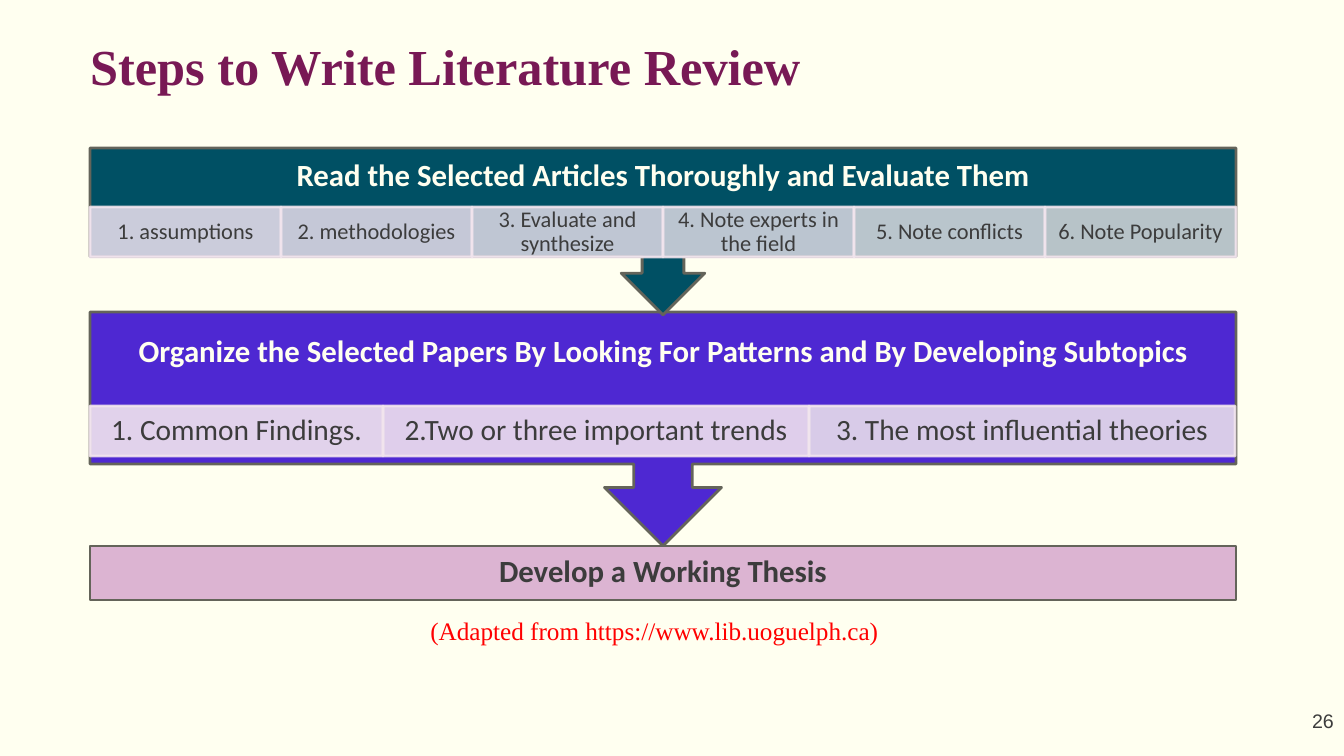
from pptx import Presentation
from pptx.dml.color import RGBColor
from pptx.enum.shapes import MSO_SHAPE as Shape
from pptx.enum.text import MSO_ANCHOR as Anchor, PP_ALIGN as Align
from pptx.oxml.ns import qn
from pptx.util import Pt
from lxml.etree import SubElement

# Content: stages run from the bottom of the slide to the top
TITLE = "Steps to Write Literature Review"
SOURCE = "(Adapted from https://www.lib.uoguelph.ca)"
PAGE_NUMBER = "26"
THESIS = "Develop a Working Thesis"
STAGES = [
    {"heading": "Organize the Selected Papers By Looking For Patterns and By Developing Subtopics",
     "fill": "4E28D2", "top": 312, "height": 234, "heading_height": 82,
     "step_top": 406, "step_size": 21, "step_inset": 16,
     "steps": [("1. Common Findings.", "F2E5EE", 293),
               ("2.Two or three important trends", "EFE1EE", 426),
               ("3. The most inﬂuential theories", "E8DDEB", 426)]},
    {"heading": "Read the Selected Articles Thoroughly and Evaluate Them",
     "fill": "005064", "top": 148, "height": 167, "heading_height": 58,
     "step_top": 207, "step_size": 16, "step_inset": 12,
     "steps": [("1. assumptions", "E2DAE8", 191),
               ("2. methodologies", "DBD6E4", 191),
               ("3. Evaluate and synthesize", "D4D3E0", 191),
               ("4. Note experts in the ﬁeld", "D0D2DC", 191),
               ("5. Note conﬂicts", "CED2D8", 191),
               ("6. Note Popularity", "CBD0D3", 191)]},
]

# Layout in px
LEFT, WIDTH, STEP_HEIGHT = 90, 1146, 50
BODY_SHARE = 0.65  # part of a callout above its arrow
IVORY, DARK, EDGE, STEP_EDGE = "FFFFF0", "3C3C3C", "64645A", "F2E5EE"
HEADING = {"name": "Calibri", "size": Pt(22), "bold": True}


def px(length):
    return round(length * 914400 / 100.8)


def colour(value):
    return RGBColor.from_string(value)


def write(box, text, font, ink, align=Align.CENTER, anchor=Anchor.MIDDLE,
          insets=(10, 5, 10, 5), spacing=1.0):
    frame = box.text_frame
    frame.word_wrap = True
    frame.vertical_anchor = anchor
    for side, inset in zip(("left", "top", "right", "bottom"), insets):
        setattr(frame, f"margin_{side}", px(inset))
    para = frame.paragraphs[0]
    para.alignment = align
    para.line_spacing = spacing
    span = para.add_run()
    span.text = text
    for name, value in font.items():
        setattr(span.font, name, value)
    span.font.color.rgb = colour(ink)


def add_box(kind, area, fill, edge, opacity=100):
    box = page.shapes.add_shape(kind, *map(px, area))
    box.shadow.inherit = False
    box.fill.solid()
    box.fill.fore_color.rgb = colour(fill)
    box.line.color.rgb = colour(edge)
    box.line.width = Pt(2)
    if opacity < 100:
        for tint in box.fill._xPr.iter(qn("a:srgbClr")):
            SubElement(tint, qn("a:alpha"), val=str(opacity * 1000))
    return box


deck = Presentation()
deck.slide_width, deck.slide_height = px(1344), px(756)
page = deck.slides.add_slide(deck.slide_layouts[5])
page.background.fill.solid()
page.background.fill.fore_color.rgb = colour(IVORY)

# Title
title = page.shapes.title
title.left, title.top, title.width, title.height = map(px, (LEFT, 35, 1164, 95))
write(title, TITLE, {"name": "Times New Roman", "size": Pt(36), "bold": True}, "781955",
      Align.LEFT, Anchor.TOP, (0, 0, 0, 0))

# Final stage
thesis = add_box(Shape.RECTANGLE, (LEFT, 546, WIDTH, 54), "DCB4D2", EDGE)
write(thesis, THESIS, HEADING, DARK, insets=(17, 0, 17, 0), spacing=0.9)

# Callout stages, each with a row of steps
for stage in STAGES:
    callout = add_box(Shape.DOWN_ARROW_CALLOUT, (LEFT, stage["top"], WIDTH, stage["height"]),
                      stage["fill"], EDGE)
    below_heading = stage["height"] * BODY_SHARE - stage["heading_height"]
    write(callout, stage["heading"], HEADING, IVORY,
          insets=(17, 0, 17, below_heading), spacing=0.9)
    step_left = LEFT
    for text, fill, width in stage["steps"]:
        step = add_box(Shape.RECTANGLE, (step_left, stage["step_top"], width, STEP_HEIGHT),
                       fill, STEP_EDGE, opacity=90)
        inset = stage["step_inset"]
        write(step, text, {"name": "Calibri", "size": Pt(stage["step_size"])}, DARK,
              insets=(inset, 2, inset, 2), spacing=0.9)
        step_left += width

# Page number and source
number = page.shapes.add_textbox(*map(px, (1030, 701, 314, 40)))
write(number, PAGE_NUMBER, {"name": "Arial", "size": Pt(14)}, DARK, Align.RIGHT)
credit = page.shapes.add_textbox(*map(px, (229, 610, 801, 40)))
write(credit, SOURCE, {"name": "Times New Roman", "size": Pt(18)}, "FF0000",
      anchor=Anchor.TOP, insets=(60, 5, 10, 5))

deck.save("out.pptx")
